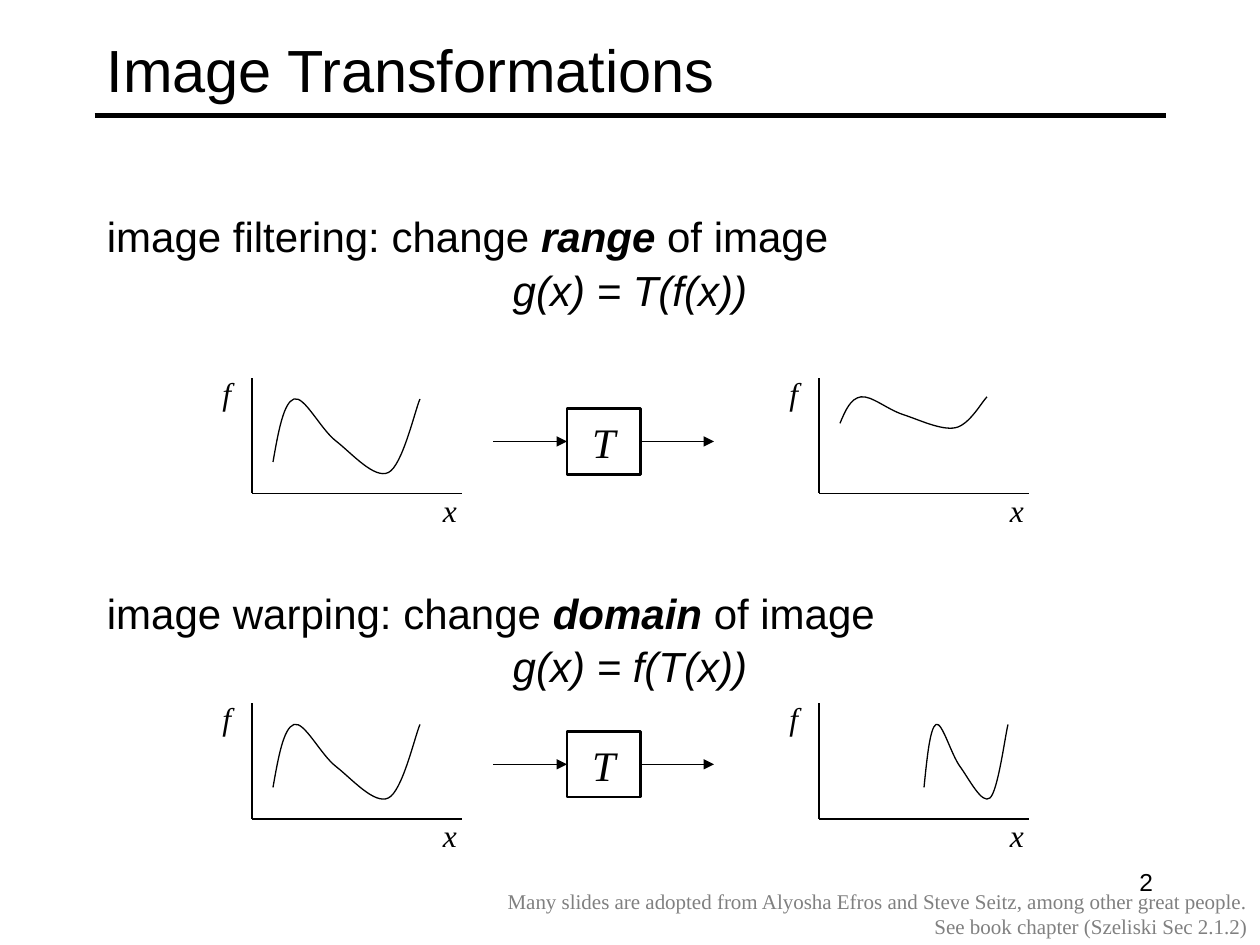
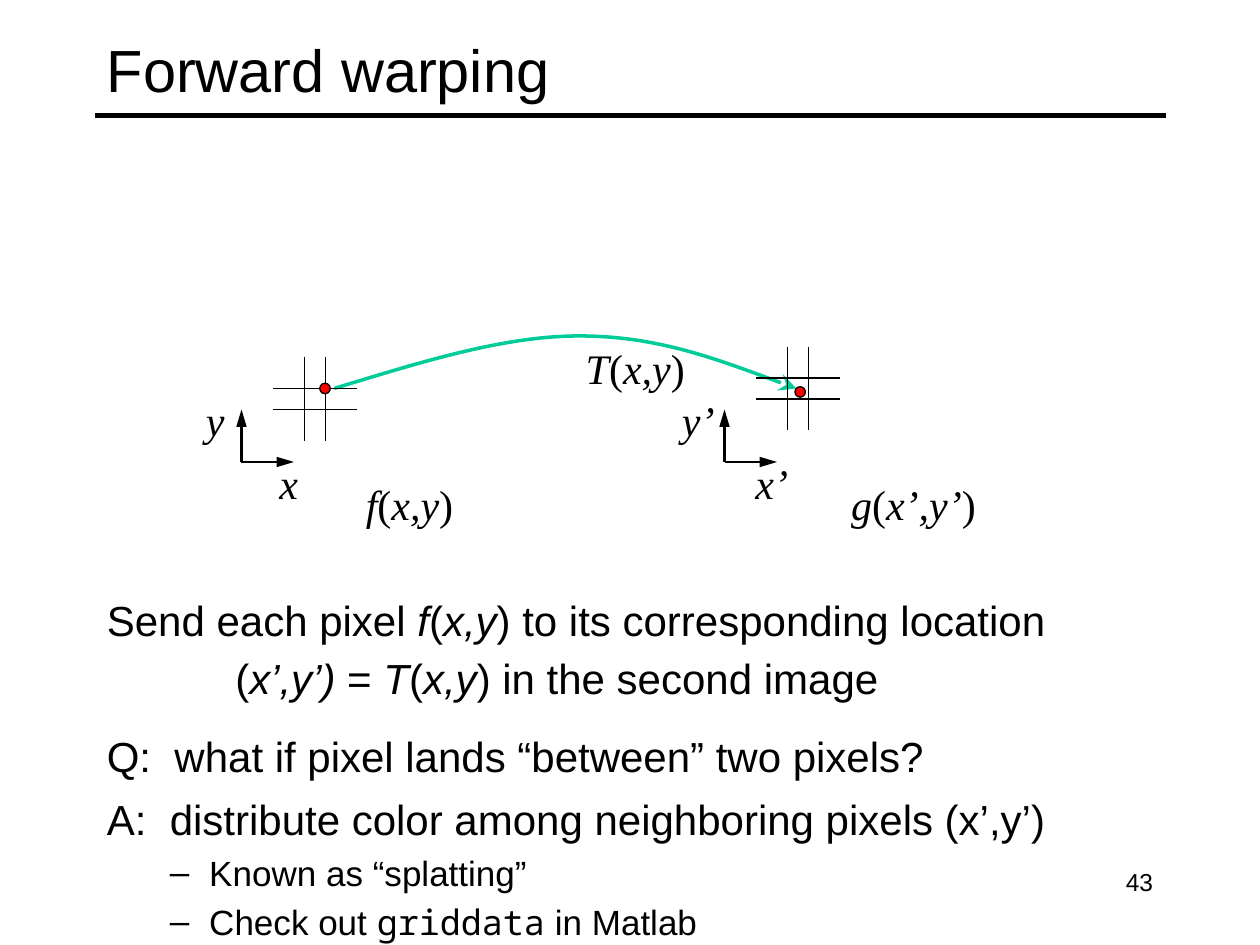
from dataclasses import dataclass

from lxml import etree
from pptx import Presentation
from pptx.dml.color import RGBColor
from pptx.enum.shapes import MSO_CONNECTOR, MSO_SHAPE
from pptx.enum.text import MSO_ANCHOR, PP_ALIGN
from pptx.oxml.ns import qn
from pptx.util import Pt

LEFT, CENTER, RIGHT = PP_ALIGN.LEFT, PP_ALIGN.CENTER, PP_ALIGN.RIGHT
TOP, MIDDLE = MSO_ANCHOR.TOP, MSO_ANCHOR.MIDDLE
STRAIGHT = MSO_CONNECTOR.STRAIGHT
RECT, OVAL = MSO_SHAPE.RECTANGLE, MSO_SHAPE.OVAL


@dataclass(frozen=True)
class Theme:
    ink: RGBColor = RGBColor(0, 0, 0)
    grey: RGBColor = RGBColor(0x80, 0x80, 0x80)
    green: RGBColor = RGBColor(0x00, 0xCC, 0x99)
    red: RGBColor = RGBColor(0xFF, 0, 0)
    sans: str = "Arial"
    serif: str = "Times New Roman"
    mono: str = "Noto Sans Mono"
    title: int = 34
    body: int = 24
    sub: int = 20
    label: int = 18
    number: int = 14
    credit: int = 12
    hair: float = 0.75
    medium: float = 1.5
    curve: float = 2
    rule: float = 3


T = Theme()


def add_text(s, box, lines, size=T.body, font=T.sans, align=LEFT,
             anchor=TOP, color=T.ink, gap=4.8):
    """Add a text box with one paragraph per line; underscores toggle italics."""
    tf = s.shapes.add_textbox(*map(Pt, box)).text_frame
    tf.word_wrap = True
    tf.vertical_anchor = anchor
    for i, line in enumerate(lines):
        p = tf.add_paragraph() if i else tf.paragraphs[0]
        p.alignment = align
        p.space_before = Pt(gap if i else 0)
        for j, part in enumerate(line.split("_")):
            if part:
                r = p.add_run()
                r.text = part
                r.font.name, r.font.size = font, Pt(size)
                r.font.color.rgb = color
                r.font.italic = j % 2 == 1
    return tf


def add_line(s, x1, y1, x2, y2, width=T.hair, arrow=None):
    """Add a straight line; arrow gives the length of its head, "med" or "lg"."""
    line = s.shapes.add_connector(STRAIGHT, Pt(x1), Pt(y1), Pt(x2), Pt(y2))
    line.line.color.rgb = T.ink
    line.line.width = Pt(width)
    if arrow:
        etree.SubElement(line.line._get_or_add_ln(), qn("a:tailEnd"),
                         type="triangle", w="med", len=arrow)
    etree.SubElement(line._element.spPr, qn("a:effectLst"))
    return line


prs = Presentation()
prs.slide_width, prs.slide_height = Pt(720), Pt(540)

# Title, rule and page number
slides = []
for title, number in (("Image Transformations", "2"), ("Forward warping", "43")):
    s = prs.slides.add_slide(prs.slide_layouts[6])
    add_line(s, 54, 66, 666, 66, T.rule)
    add_text(s, (54, 6, 612, 66), [title], T.title, anchor=MIDDLE)
    add_text(s, (516, 492, 150, 36), [number], T.number, align=RIGHT)
    slides.append(s)
transform, forward = slides

# Curves, as a start point followed by three Bézier points per segment
signal = [(12, 48), (15, 31), (18, 14), (24, 12), (30, 10), (39, 29), (48, 36),
          (57, 43), (70, 58), (78, 54), (86, 50), (93, 19), (96, 12)]
flattened = [(x, 10.8 + (y - 12) * 0.42) for x, y in signal]
squeezed = [(60 + (x - 12) * 4 / 7, y) for x, y in signal]
mapping = [(191, 222), (239, 207.5), (287, 192), (331, 192),
           (376, 192), (415.5, 207.5), (455, 222)]
plot_x = (144, 468)
plot_y = (216, 402)
for s, points, dx, dy, color, width in (
    (transform, signal, plot_x[0], plot_y[0], T.ink, T.hair),
    (transform, flattened, plot_x[1], plot_y[0], T.ink, T.hair),
    (transform, signal, plot_x[0], plot_y[1], T.ink, T.hair),
    (transform, squeezed, plot_x[1], plot_y[1], T.ink, T.hair),
    (forward, mapping, 0, 0, T.green, T.curve),
):
    start, *rest = [(Pt(x + dx), Pt(y + dy)) for x, y in points]
    builder = s.shapes.build_freeform(*start)
    builder.add_line_segments(rest, close=False)
    sp = builder.convert_to_shape()
    sp.shadow.inherit = False
    sp.fill.background()
    sp.line.color.rgb, sp.line.width = color, Pt(width)

    # Turn every three straight segments into one Bézier segment
    outline = sp._element.find(".//" + qn("a:path"))
    segments = outline.findall(qn("a:lnTo"))
    for i in range(0, len(segments), 3):
        bezier = etree.SubElement(outline, qn("a:cubicBezTo"))
        for segment in segments[i:i + 3]:
            bezier.append(segment[0])
            outline.remove(segment)
    if s is forward:
        etree.SubElement(sp.line._get_or_add_ln(), qn("a:tailEnd"),
                         type="stealth", w="lg", len="lg")

# Image Transformations: filtering above, warping below
s = transform
for top, spacing, lines in (
    (120, 0.9, ["image filtering: change _range_ of image", "_g(x) = T(f(x))_"]),
    (312, 1.7, ["image warping: change _domain_ of image", "_g(x) = f(T(x))_"]),
):
    statement, formula = add_text(s, (54, top, 612, 78), lines).paragraphs
    statement.line_spacing = spacing
    statement.runs[1].font.bold = True
    formula.line_spacing = 0.9
    formula.alignment = CENTER

for y, box_y in zip(plot_y, (233.5, 418)):
    for x in plot_x:
        add_line(s, x, y, x, y + 66)
        add_line(s, x, y + 66, x + 120, y + 66)
        add_text(s, (x - 24, y - 6, 30, 29), ["_f_"], T.label, T.serif)
        add_text(s, (x + 102, y + 61, 30, 29), ["_x_"], T.label, T.serif)

    box = s.shapes.add_shape(RECT, Pt(324), Pt(box_y), Pt(42), Pt(37.5))
    box.shadow.inherit = False
    box.fill.background()
    box.line.color.rgb, box.line.width = T.ink, Pt(T.medium)
    tf = box.text_frame
    tf.text = "T"
    p = tf.paragraphs[0]
    p.alignment = CENTER
    r = p.runs[0]
    r.font.name, r.font.size, r.font.italic = T.serif, Pt(T.body), True
    r.font.color.rgb = T.ink

    mid = box_y + 18.75
    add_line(s, 282, mid, 324, mid, arrow="med").end_connect(box, 1)
    add_line(s, 366, mid, 408, mid, arrow="med").begin_connect(box, 3)

add_text(s, (30, 504, 690, 36),
         ["Many slides are adopted from Alyosha Efros and Steve Seitz, among other great people.",
          "See book chapter (Szeliski Sec 2.1.2)"],
         T.credit, T.serif, RIGHT, color=T.grey, gap=0)

# Forward warping: pixel grids, axes and their labels
s = forward
for x, y in ((156, 204), (432, 198)):
    for offset in (18, 30):
        add_line(s, x + offset, y, x + offset, y + 48)
        add_line(s, x, y + offset, x + 48, y + offset)

for x, y in ((182.75, 219), (454.25, 221)):
    dot = s.shapes.add_shape(OVAL, Pt(x), Pt(y), Pt(6), Pt(6))
    dot.shadow.inherit = False
    dot.fill.solid()
    dot.fill.fore_color.rgb = T.red
    dot.line.color.rgb, dot.line.width = T.ink, Pt(T.hair)

axis_y = 264
for x, prime in ((138, ""), (414, "’")):
    add_line(s, x, axis_y, x, axis_y - 30, T.medium, arrow="lg")
    add_line(s, x, axis_y, x + 30, axis_y, T.medium, arrow="lg")
    add_text(s, (x, axis_y - 6, 54, 36), [f"_x{prime}_"], font=T.serif, align=CENTER)
    add_text(s, (x - 42, axis_y - 42, 54, 36), [f"_y{prime}_"], font=T.serif, align=CENTER)

for x, y, w, label in ((192, 270, 84, "_f_(_x,y_)"),
                       (468, 270, 108, "_g_(_x’,y’_)"),
                       (318, 192, 90, "_T_(_x,y_)")):
    add_text(s, (x, y, w, 36), [label], font=T.serif, align=CENTER)

# Forward warping: explanation
tf = add_text(s, (54, 336, 612, 150),
              ["Send each pixel _f_(_x,y_) to its corresponding location",
               "(_x’,y’) _= _T_(_x,y_) in the second image"])
tf.paragraphs[1]._p.get_or_add_pPr().set("marL", str(Pt(73.4)))
add_text(s, (54, 414, 612, 72), ["Q:  what if pixel lands “between” two pixels?"])
tf = add_text(s, (54, 450, 612, 72),
              ["A:  distribute color among neighboring pixels (x’,y’)",
               "Known as “splatting”", "Check out _griddata_ in Matlab"])
for p in tf.paragraphs[1:]:
    p.space_before = Pt(4)
    pPr = p._p.get_or_add_pPr()
    pPr.set("lvl", "1")
    pPr.set("marL", str(Pt(58.5)))
    pPr.set("indent", str(Pt(-22.5)))
    etree.SubElement(pPr, qn("a:buFont"), typeface=T.sans)
    etree.SubElement(pPr, qn("a:buChar"), char="–")
    for r in p.runs:
        r.font.size = Pt(T.sub)
code = tf.paragraphs[2].runs[1]
code.font.name, code.font.italic = T.mono, False

prs.save("out.pptx")
